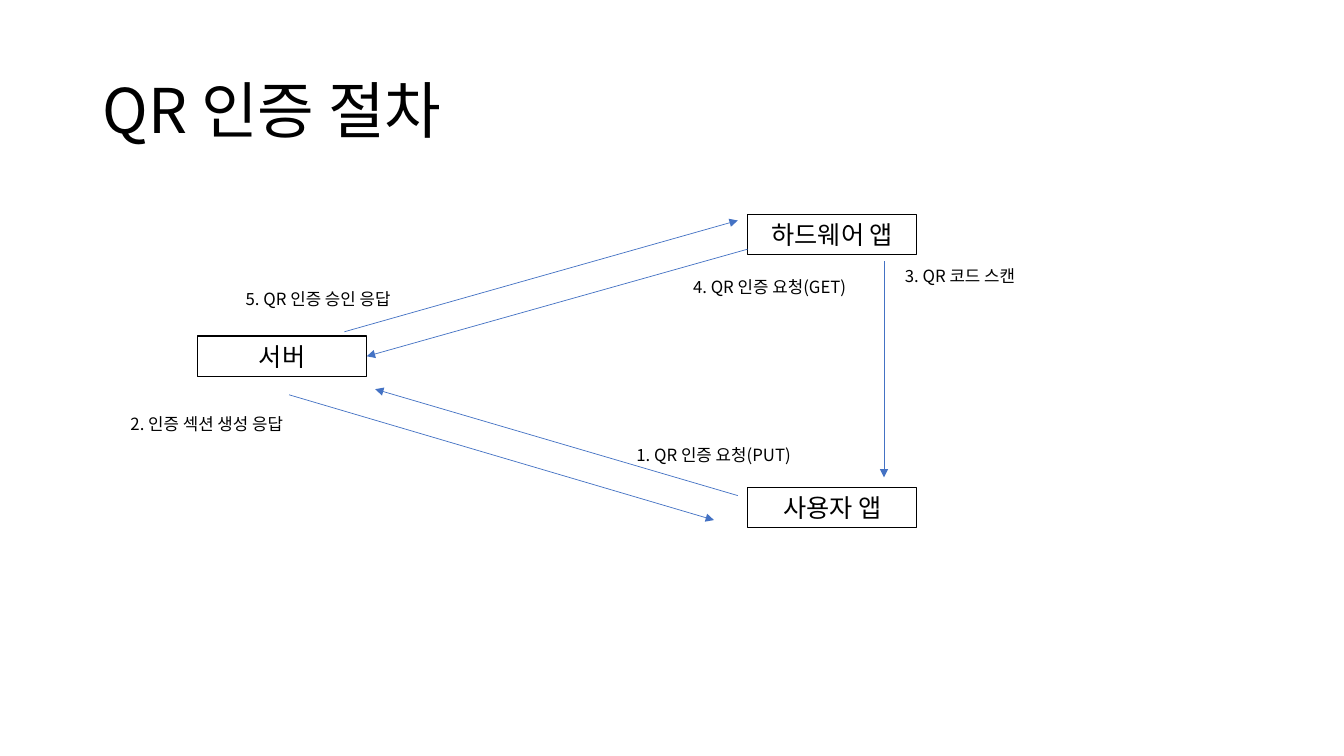
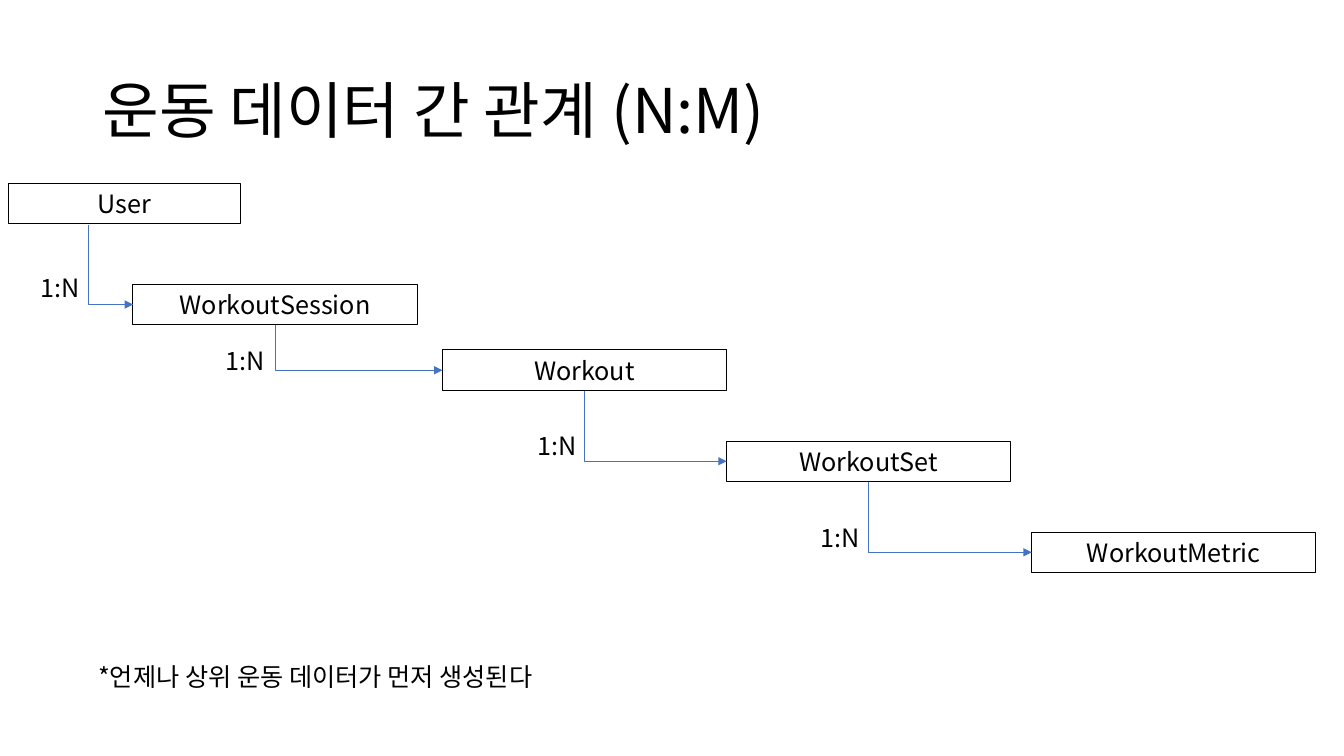
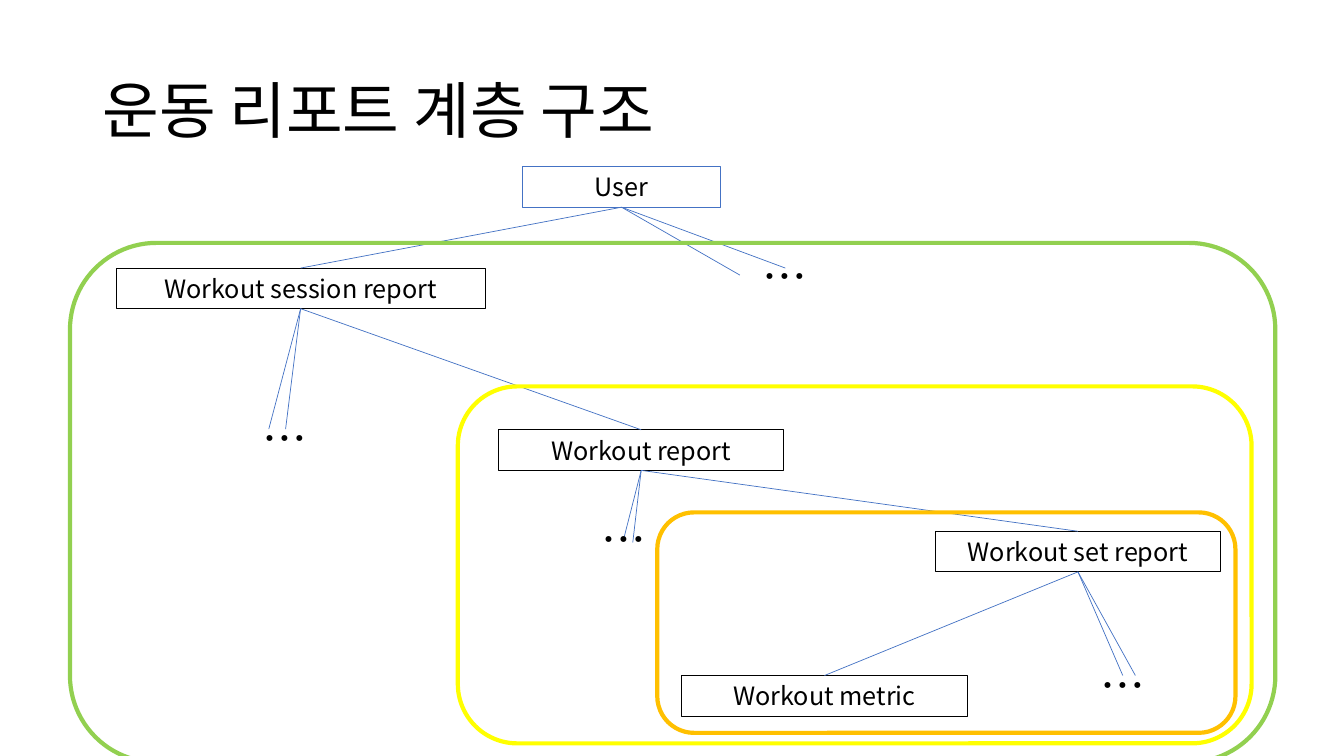
import pptx
import pptx.dml.color
import pptx.enum.shapes
import pptx.enum.text
import pptx.oxml.ns
import pptx.shapes.base
import pptx.util
from dataclasses import dataclass

Pt = pptx.util.Pt
RGB = pptx.dml.color.RGBColor
SHAPE = pptx.enum.shapes.MSO_SHAPE
LINK = pptx.enum.shapes.MSO_CONNECTOR
ALIGN = pptx.enum.text.PP_ALIGN
ANCHOR = pptx.enum.text.MSO_ANCHOR
FIT = pptx.enum.text.MSO_AUTO_SIZE
qn = pptx.oxml.ns.qn
BOTTOM, RIGHT, LEFT, TOP = 2, 3, 1, 0


@dataclass(frozen=True)
class Theme:
    font: str = "Noto Sans CJK KR"
    ink: RGB = RGB(0x00, 0x00, 0x00)
    blue: RGB = RGB(0x44, 0x72, 0xC4)
    green: RGB = RGB(0x92, 0xD0, 0x50)
    yellow: RGB = RGB(0xFF, 0xFF, 0x00)
    orange: RGB = RGB(0xFF, 0xC0, 0x00)
    title: int = 44
    dots: int = 32
    body: int = 18
    small: int = 12
    row: int = 29
    edge: float = 0.75
    wire: float = 0.5
    frame: int = 3


THEME = Theme()


# Shared parts
def write(shape, text, size, align=ALIGN.LEFT):
    frame = shape.text_frame
    frame.text = text
    frame.word_wrap = True
    frame.auto_size = FIT.NONE
    frame.vertical_anchor = ANCHOR.MIDDLE
    for para in frame.paragraphs:
        para.alignment = align
        for run in para.runs:
            run.font.size = Pt(size)
            run.font.name = THEME.font
            run.font.color.rgb = THEME.ink
            east = run.font._element.makeelement(qn("a:ea"), {"typeface": THEME.font})
            run.font._element.find(qn("a:latin")).addnext(east)


def place(box, x, y, w, h):
    return [Pt(n) for n in (box[0] + x, box[1] + y, w, h)]


def outline(slide, kind, rect, color, width):
    shape = slide.shapes.add_shape(kind, *rect)
    shape.shadow.inherit = False
    shape.fill.background()
    shape.line.color.rgb = color
    shape.line.width = Pt(width)
    return shape


def node(slide, box, text, x, y, w, color=THEME.ink):
    rect = place(box, x, y, w, THEME.row)
    shape = outline(slide, SHAPE.RECTANGLE, rect, color, THEME.edge)
    write(shape, text, THEME.body, ALIGN.CENTER)
    return shape


def label(slide, box, text, x, y, w, h, size, align=ALIGN.LEFT):
    write(slide.shapes.add_textbox(*place(box, x, y, w, h)), text, size, align)


def bend(wire):
    """Turn the wire into one that runs down, then right."""
    x, y = wire.begin_x, wire.begin_y
    wide, high = wire.end_x - x, wire.end_y - y
    wire.left, wire.top = x + (wide - high) // 2, y + (high - wide) // 2
    wire.width, wire.height = high, wide
    props = wire.element.spPr
    form = props.find(qn("a:xfrm"))
    form.set("rot", "16200000")
    form.set("flipH", "1")
    props.find(qn("a:prstGeom")).set("prst", "bentConnector2")


def link(slide, box, start, end, arrow=False, bent=False):
    """Each end is a point in the box or a pair of shape and side."""
    glued = [isinstance(tip[0], pptx.shapes.base.BaseShape) for tip in (start, end)]
    spots = [(0, 0) if stuck else place(box, *tip, 0, 0)[:2]
             for stuck, tip in zip(glued, (start, end))]
    kind = LINK.ELBOW if bent else LINK.STRAIGHT
    wire = slide.shapes.add_connector(kind, *spots[0], *spots[1])
    if glued[0]:
        wire.begin_connect(*start)
    if glued[1]:
        wire.end_connect(*end)
    if bent:
        bend(wire)
    wire.line.color.rgb = THEME.blue
    wire.line.width = Pt(THEME.wire)
    props = wire.element.spPr
    line = props.find(qn("a:ln"))
    if arrow:
        line.append(line.makeelement(qn("a:tailEnd"), {"type": "triangle"}))
    line.addnext(line.makeelement(qn("a:effectLst"), {}))


def page(deck, text):
    slide = deck.slides.add_slide(deck.slide_layouts[5])
    title = slide.shapes.title
    title.left, title.top, title.width, title.height = place((66, 29), 0, 0, 828, 104)
    write(title, text, THEME.title)
    title.text_frame.paragraphs[0].line_spacing = 0.9
    return slide


# Login steps between server and apps
def flow(slide, box):
    server = node(slide, box, "서버", 75, 88, 121)
    node(slide, box, "사용자 앱", 468, 196, 121)
    node(slide, box, "하드웨어 앱", 468, 1, 121)
    steps = [
        ("1. QR 인증 요청(PUT)", 362, 162),
        ("2. 인증 섹션 생성 응답", 0, 140),
        ("3. QR 코드 스캔", 538, 34.5),
        ("4. QR 인증 요청(GET)", 402, 42),
        ("5. QR 인증 승인 응답", 79.5, 51),
    ]
    for text, x, y in steps:
        label(slide, box, text, x, y, 163.5, 21.5, THEME.small, ALIGN.CENTER)
    arrows = [
        ((468, 26), (server, RIGHT)),
        ((180, 85), (461, 5.5)),
        ((565.5, 34.5), (565.5, 189)),
        ((461, 202), (202, 126)),
        ((140.5, 130), (444, 219.5)),
    ]
    for start, end in arrows:
        link(slide, box, start, end, arrow=True)


# Stairs of one-to-many data
def stairs(slide, box):
    node(slide, box, "User", 0, 0, 166)
    start = (57, 30)
    steps = [
        ("WorkoutSession", 89, 72, (16, 60)),
        ("Workout", 310, 119, (148, 112)),
        ("WorkoutSet", 513, 184, (371, 173)),
        ("WorkoutMetric", 731, 249, (573, 238)),
    ]
    for text, x, y, spot in steps:
        child = node(slide, box, text, x, y, 203)
        link(slide, box, start, (child, LEFT), arrow=True, bent=True)
        label(slide, box, "1:N", *spot, 60.5, THEME.row, THEME.body)
        start = (child, BOTTOM)
    label(slide, box, "*언제나 상위 운동 데이터가 먼저 생성된다",
          57, 338, 831, THEME.row, THEME.body)


# Tree of reports with nested frames
def tree(slide, box):
    chain = [
        node(slide, box, "User", 323, 0, 142, THEME.blue),
        node(slide, box, "Workout session report", 33, 72.5, 263.5),
        node(slide, box, "Workout report", 306, 188, 204),
        node(slide, box, "Workout set report", 618, 260.5, 204),
        node(slide, box, "Workout metric", 437, 363.5, 204),
    ]
    # Place of the dots and ends of the two short lines, by parent
    fans = [
        ((478.5, 54.5), (511, 72.5), (478.5, 77.5)),
        ((121, 170.5), (142, 187.5), (154, 187.5)),
        ((363, 243), (395.5, 266), (402, 268.5)),
        ((719.5, 347), (752, 363.5), (761, 363.5)),
    ]
    for parent, child, (spot, *ends) in zip(chain, chain[1:], fans):
        for end in [(child, TOP), *ends]:
            link(slide, box, (parent, BOTTOM), end)
        label(slide, box, "…", *spot, 65, 46, THEME.dots, ALIGN.CENTER)
    frames = [
        (THEME.green, 0, 54.5, 861, 371),
        (THEME.yellow, 277, 157, 567, 255),
        (THEME.orange, 419.5, 247, 413, 157.5),
    ]
    for color, *rect in frames:
        outline(slide, SHAPE.ROUNDED_RECTANGLE, place(box, *rect), color, THEME.frame)


def main():
    deck = pptx.Presentation()
    deck.slide_width, deck.slide_height = Pt(960), Pt(540)
    flow(page(deck, "QR 인증 절차"), (66, 152))
    stairs(page(deck, "운동 데이터 간 관계 (N:M)"), (6, 131))
    tree(page(deck, "운동 리포트 계층 구조"), (50, 119))
    deck.save("out.pptx")


if __name__ == "__main__":
    main()
